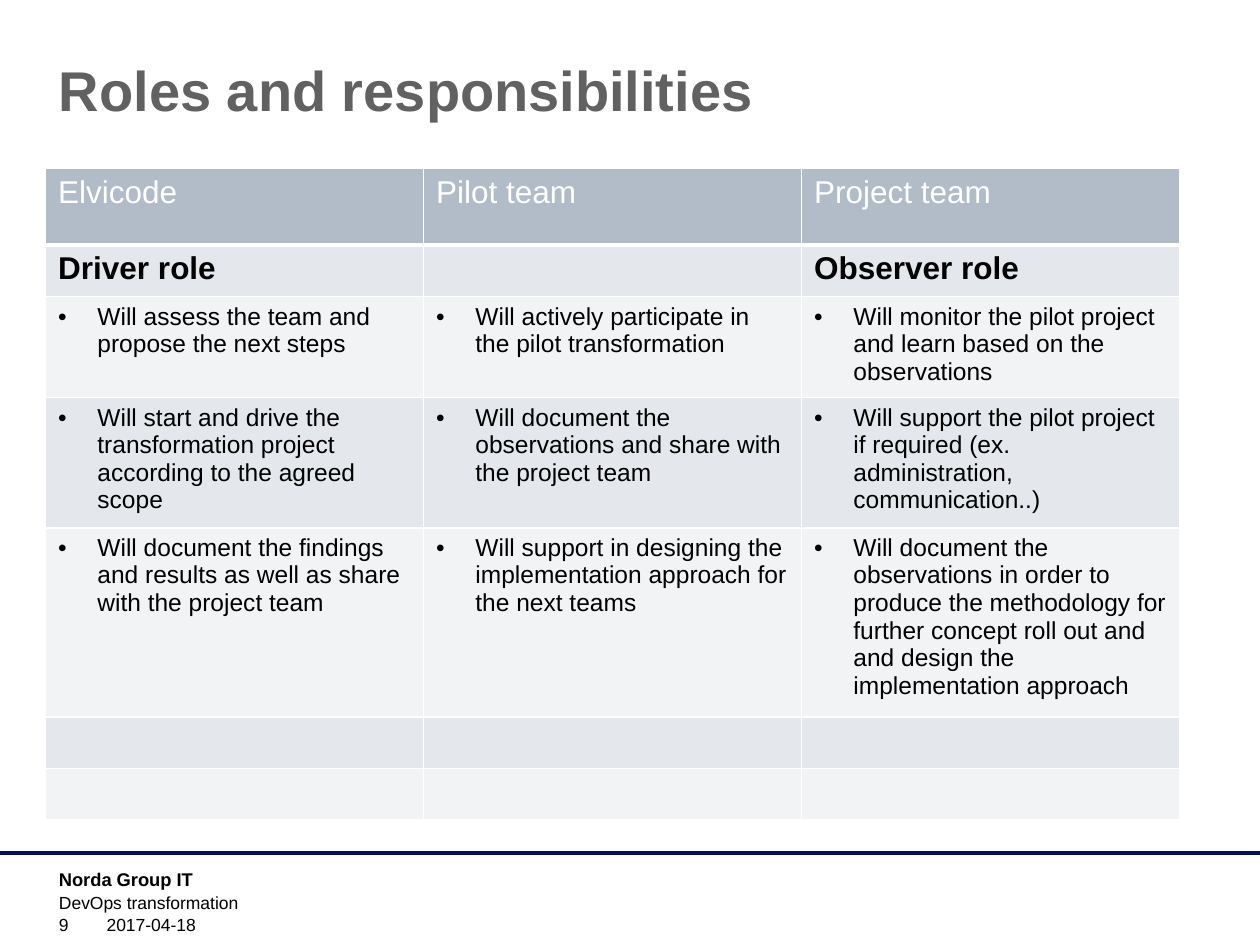
from lxml import etree
from pptx import Presentation
from pptx import util as u
from pptx.dml.color import RGBColor
from pptx.enum import shapes, text
from pptx.oxml import ns

COLORS = {
    "title": "616161",
    "rule": "000F60",
    "ink": "000000",
    "white": "FFFFFF",
    "header": "B1BCC8",
    "band_dark": "E4E7EB",
    "band_light": "F2F3F5",
}
ROLES = [
    ["Elvicode", "Pilot team", "Project team"],
    ["Driver role", "", "Observer role"],
    ["Will assess the team and propose the next steps",
     "Will actively participate in the pilot transformation",
     "Will monitor the pilot project and learn based on the observations"],
    ["Will start and drive the transformation project according to the agreed scope",
     "Will document the observations and share with the project team",
     "Will support the pilot project if required (ex. administration, communication..)"],
    ["Will document the findings and results as well as share with the project team",
     "Will support in designing the implementation approach for the next teams",
     "Will document the observations in order to produce the methodology for further "
     "concept roll out and and design the implementation approach"],
    ["", "", ""],
    ["", "", ""],
]
MARGIN = 0.94


def color(name):
    return RGBColor.from_string(COLORS[name])


def style(paragraph, size, ink, bold=False):
    font = paragraph.font
    font.name, font.size, font.bold = "Arial", u.Pt(size), bold
    font.color.rgb = color(ink)


def add_label(slide, wording, left, top, width, height, size,
              ink="ink", bold=False, wrap=True, anchor=text.MSO_ANCHOR.TOP):
    label = slide.shapes.add_textbox(u.Cm(left), u.Cm(top), u.Cm(width), u.Cm(height))
    frame = label.text_frame
    frame.word_wrap = wrap
    frame.vertical_anchor = anchor
    frame.text = wording
    style(frame.paragraphs[0], size, ink, bold)


def add_rule(slide, y):
    rule = slide.shapes.add_connector(
        shapes.MSO_CONNECTOR.STRAIGHT, 0, u.Cm(y), u.Cm(25.4), u.Cm(y))
    rule.line.color.rgb = color("rule")
    rule.line.width = u.Pt(2)
    etree.SubElement(rule._element.spPr, ns.qn("a:effectLst"))


def set_borders(cell, bottom):
    properties = cell._tc.get_or_add_tcPr()
    widths = {"lnL": 1, "lnR": 1, "lnT": 1, "lnB": bottom}
    for position, (side, width) in enumerate(widths.items()):
        border = etree.Element(ns.qn(f"a:{side}"), w=str(u.Pt(width)))
        fill = etree.SubElement(border, ns.qn("a:solidFill"))
        etree.SubElement(fill, ns.qn("a:srgbClr"), val=COLORS["white"])
        properties.insert(position, border)


def add_bullet(paragraph):
    properties = paragraph._p.get_or_add_pPr()
    properties.set("marL", str(u.Cm(0.79)))
    properties.set("indent", str(-u.Cm(0.79)))
    bullet_font = etree.Element(ns.qn("a:buFont"), typeface="Arial")
    bullet = etree.Element(ns.qn("a:buChar"), char="•")
    properties.insert(0, bullet_font)
    properties.insert(1, bullet)


def fill_cell(cell, wording, row):
    band = "header" if row == 0 else "band_dark" if row % 2 else "band_light"
    cell.fill.solid()
    cell.fill.fore_color.rgb = color(band)
    set_borders(cell, bottom=3 if row == 0 else 1)
    cell.text = wording
    paragraph = cell.text_frame.paragraphs[0]
    is_duty = row > 1 and wording != ""
    style(paragraph, 14 if is_duty else 18, "white" if row == 0 else "ink", row == 1)
    if is_duty:
        add_bullet(paragraph)


def add_roles_table(slide):
    roles = slide.shapes.add_table(
        len(ROLES), len(ROLES[0]), u.Cm(0.92), u.Cm(3.39), u.Cm(22.86), u.Cm(7.79)).table
    for column in roles.columns:
        column.width = u.Cm(7.62)
    for row, wordings in enumerate(ROLES):
        roles.rows[row].height = u.Cm(1.04 if row else 1.55)
        for column, wording in enumerate(wordings):
            fill_cell(roles.cell(row, column), wording, row)


def add_footer(slide):
    bottom = text.MSO_ANCHOR.BOTTOM
    add_rule(slide, 17.2)
    add_label(slide, "Norda Group IT", MARGIN, 17.37, 5.92, 0.61, 10.5, bold=True, wrap=False)
    add_label(slide, "DevOps transformation", MARGIN, 17.86, 19.1, 0.61, 10)
    add_label(slide, "9", MARGIN, 18.39, 1.4, 0.58, 10, anchor=bottom)
    add_label(slide, "2017-04-18", 1.9, 18.39, 6.68, 0.58, 10, anchor=bottom)


def main():
    deck = Presentation()
    deck.slide_width, deck.slide_height = u.Cm(25.4), u.Cm(19.05)
    slide = deck.slides.add_slide(deck.slide_layouts[6])
    add_label(slide, "Roles and responsibilities", MARGIN, 0.99, 22.86, 3.18, 32,
              ink="title", bold=True)
    add_roles_table(slide)
    add_footer(slide)
    deck.save("out.pptx")


if __name__ == "__main__":
    main()
